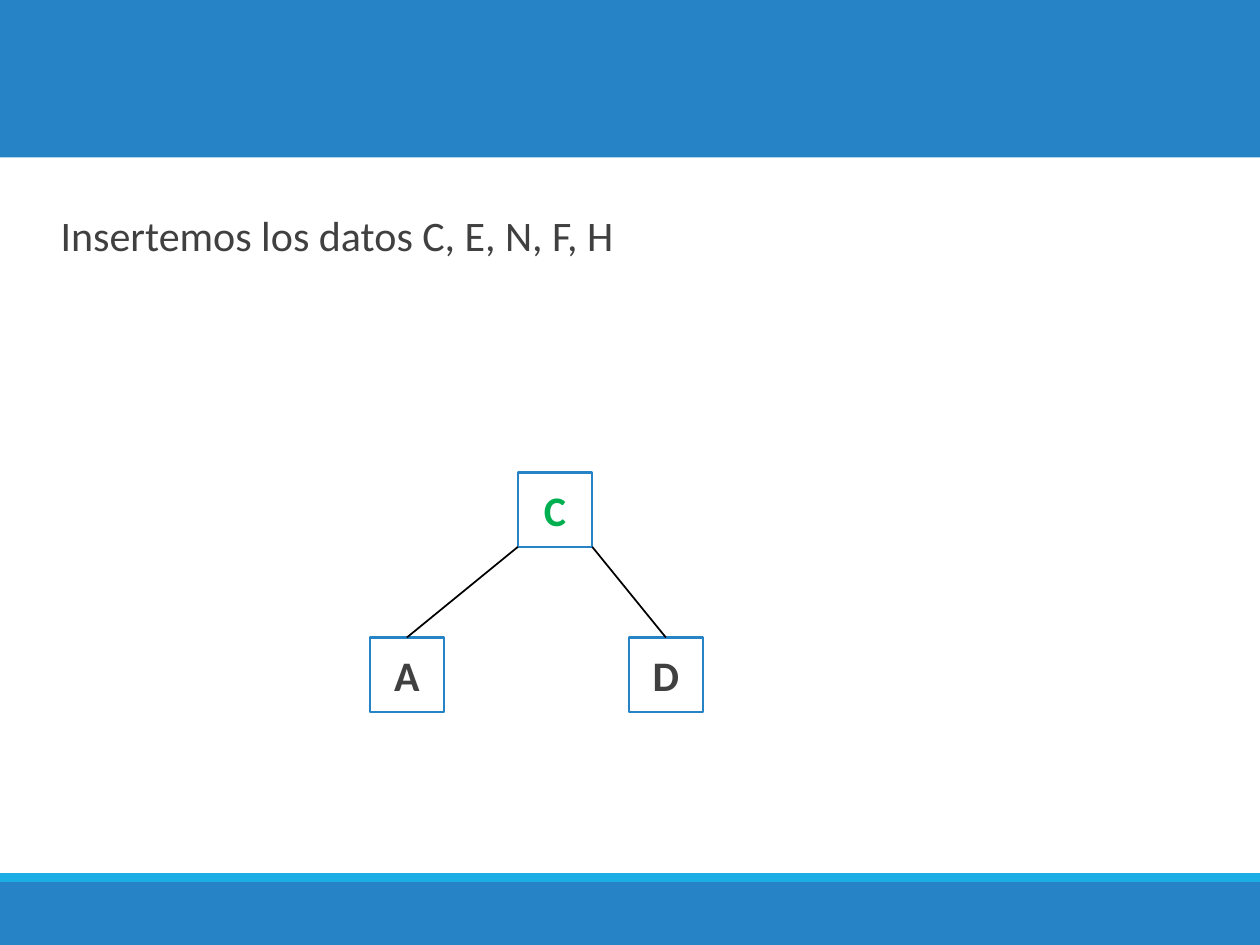
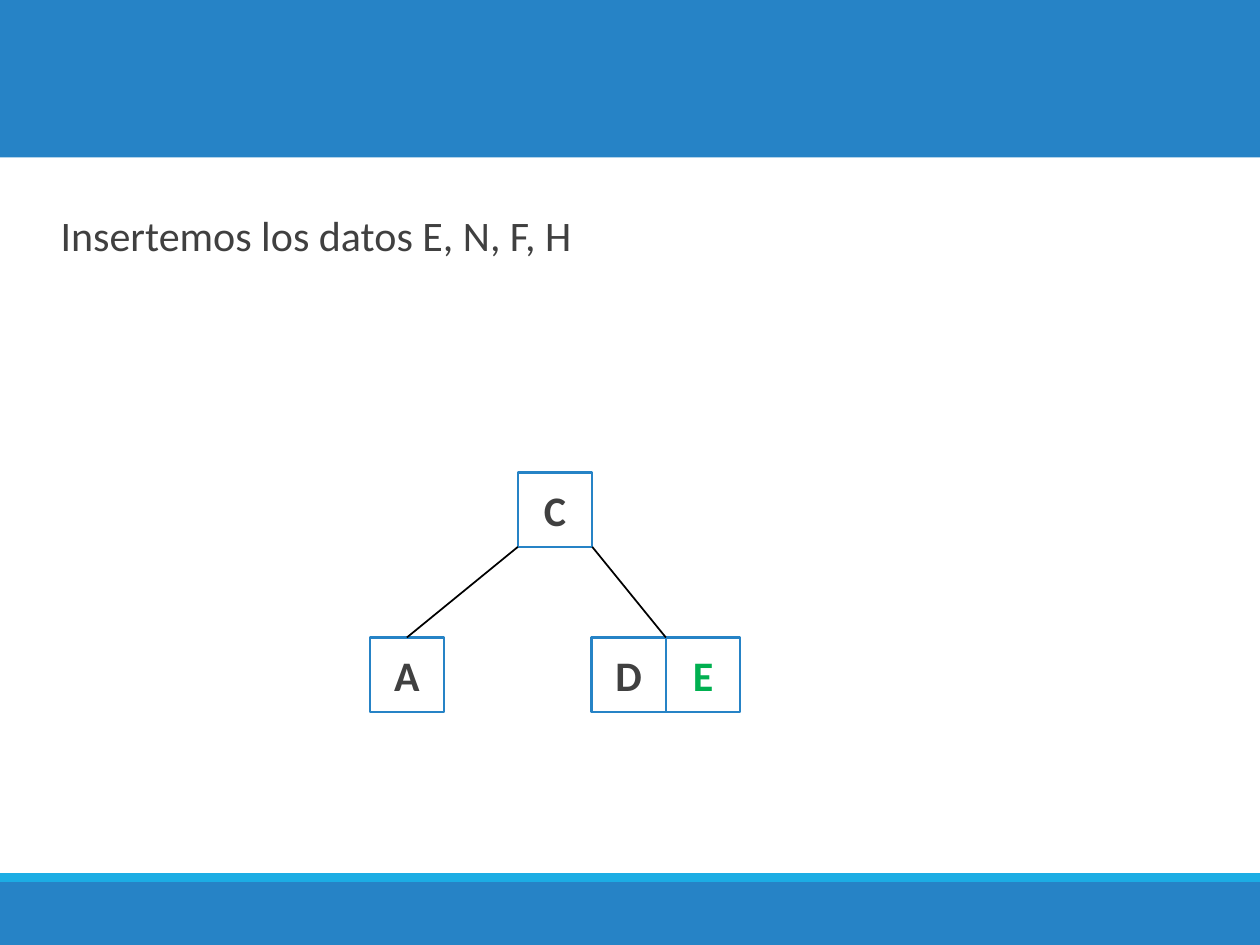
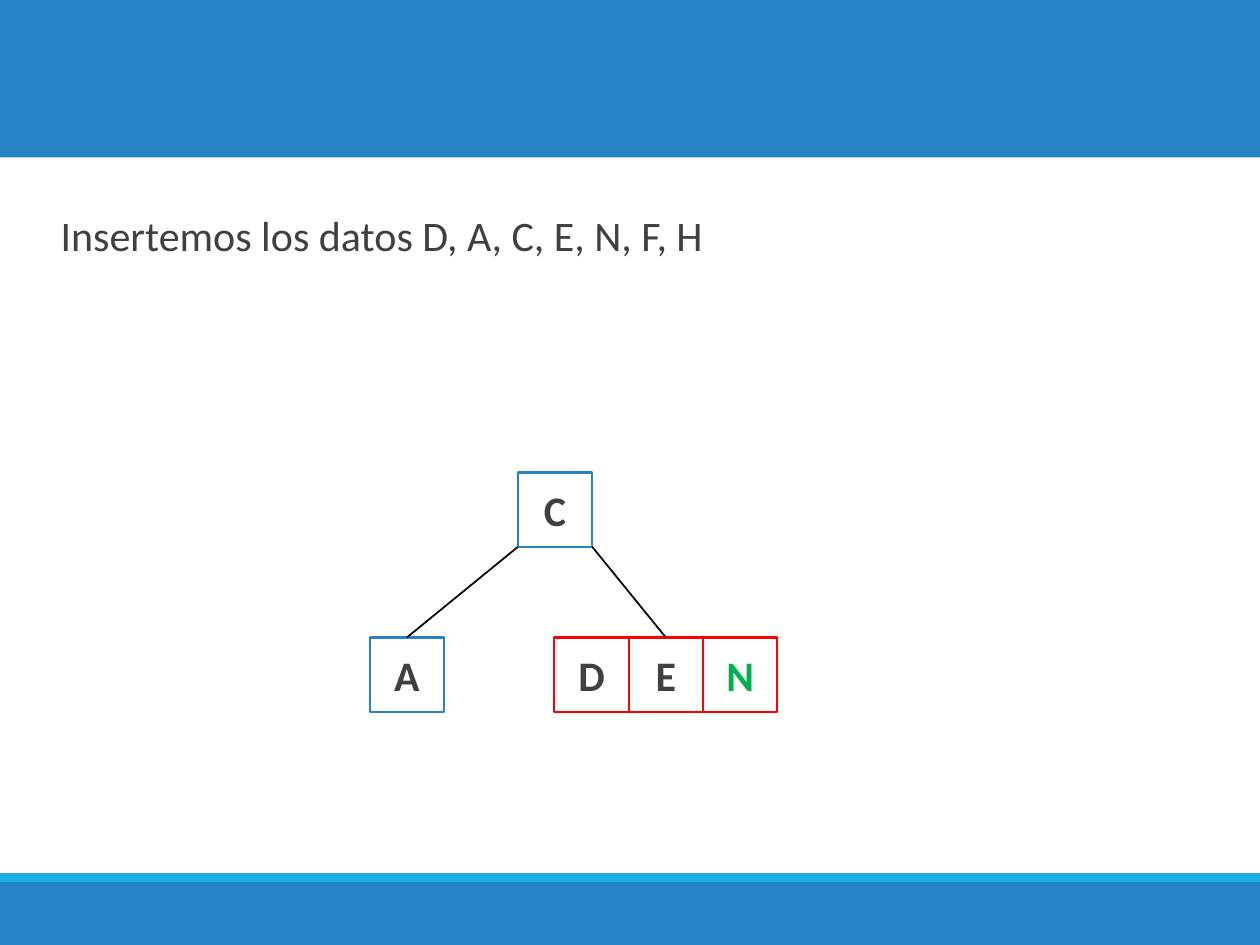
"""Build three slides that show the insertion of keys into a B-tree."""
from dataclasses import dataclass

from lxml import etree
from pptx import Presentation
from pptx.dml.color import RGBColor
from pptx.enum import shapes, text
from pptx.oxml import ns
from pptx.util import Pt

BLUE = RGBColor(0x26, 0x83, 0xC6)
CYAN = RGBColor(0x1C, 0xAD, 0xE4)
GREEN = RGBColor(0x00, 0xB0, 0x50)
RED = RGBColor(0xFF, 0x00, 0x00)
GREY = RGBColor(0x40, 0x40, 0x40)
BLACK = RGBColor(0x00, 0x00, 0x00)
WHITE = RGBColor(0xFF, 0xFF, 0xFF)

FONT = "Calibri"
WIDTH, HEIGHT = 720, 540
KEY_SIDE = 42.5
ROOT_X, LEFT_X, RIGHT_X = 317.2, 232.5, 380.5
ROOT_TOP, LEAF_TOP = 270, 364.3


@dataclass(frozen=True)
class Band:
    top: float
    height: float
    color: RGBColor


@dataclass(frozen=True)
class Node:
    keys: str
    center: float
    top: float
    line: RGBColor = BLUE


@dataclass(frozen=True)
class Step:
    pending: str
    new_key: str
    right: Node


BANDS = (Band(0, 90, BLUE), Band(504, 36, BLUE), Band(499, 5, CYAN))
ROOT = Node("C", ROOT_X, ROOT_TOP)
LEFT = Node("A", LEFT_X, LEAF_TOP)
STEPS = (
    Step("C, E, N, F, H", "C", Node("D", RIGHT_X, LEAF_TOP)),
    Step("E, N, F, H", "E", Node("DE", RIGHT_X, LEAF_TOP)),
    Step("D, A, C, E, N, F, H", "N", Node("DEN", RIGHT_X, LEAF_TOP, RED)),
)


def add_rect(s, left: float, top: float, width: float, height: float, fill: RGBColor):
    sp = s.shapes.add_shape(shapes.MSO_SHAPE.RECTANGLE, Pt(left), Pt(top), Pt(width), Pt(height))
    sp.shadow.inherit = False
    sp.fill.solid()
    sp.fill.fore_color.rgb = fill
    return sp


def add_bands(s, layout) -> None:
    first = layout.placeholders[0].element
    for band in BANDS:
        sp = add_rect(s, 0, band.top, WIDTH, band.height, band.color)
        sp.line.fill.background()
        first.addprevious(sp.element)


def add_statement(s, pending: str) -> None:
    s.shapes.title.element.getparent().remove(s.shapes.title.element)
    body = s.placeholders[1]
    body.left, body.top, body.width, body.height = Pt(20.2), Pt(101.5), Pt(680.4), Pt(62.6)
    tf = body.text_frame
    tf.auto_size = text.MSO_AUTO_SIZE.NONE
    p = tf.paragraphs[0]
    p.text = f"Insertemos los datos {pending}"
    p.line_spacing, p.space_before, p.space_after = 1.5, Pt(12), Pt(2)
    p.font.name, p.font.size, p.font.color.rgb = FONT, Pt(24), GREY
    pPr = p._p.get_or_add_pPr()
    pPr.set("marL", str(Pt(7.2)))
    pPr.set("indent", str(-Pt(7.2)))
    bullet_color = etree.Element(ns.qn("a:buClr"))
    etree.SubElement(bullet_color, ns.qn("a:srgbClr"), val=str(CYAN))
    bullet = etree.Element(ns.qn("a:buChar"), char=" ")
    spacing = pPr.find(ns.qn("a:spcAft"))
    spacing.addnext(bullet_color)
    bullet_color.addnext(bullet)


def add_node(s, node: Node, new_key: str) -> list:
    left = node.center - len(node.keys) * KEY_SIDE / 2
    boxes = []
    for i, key in enumerate(node.keys):
        sp = add_rect(s, left + i * KEY_SIDE, node.top, KEY_SIDE, KEY_SIDE, WHITE)
        sp.line.color.rgb, sp.line.width = node.line, Pt(1.25)
        tf = sp.text_frame
        tf.vertical_anchor = text.MSO_ANCHOR.MIDDLE
        p = tf.paragraphs[0]
        p.text = key
        p.alignment = text.PP_ALIGN.CENTER
        p.font.name, p.font.size, p.font.bold = FONT, Pt(24), True
        p.font.color.rgb = GREEN if key == new_key else GREY
        boxes.append(sp)
    return boxes


def add_branch(s, corner_x: float, child: Node, boxes: list) -> None:
    c = s.shapes.add_connector(
        shapes.MSO_CONNECTOR.STRAIGHT,
        Pt(corner_x), Pt(ROOT_TOP + KEY_SIDE), Pt(child.center), Pt(child.top),
    )
    if len(boxes) % 2:
        c.end_connect(boxes[len(boxes) // 2], 0)
    c.line.color.rgb, c.line.width = BLACK, Pt(1)
    etree.SubElement(c.element.spPr, ns.qn("a:effectLst"))


def add_tree(s, step: Step) -> None:
    add_node(s, ROOT, step.new_key)
    for child, side in ((LEFT, -1), (step.right, 1)):
        boxes = add_node(s, child, step.new_key)
        add_branch(s, ROOT_X + side * KEY_SIDE / 2, child, boxes)


def main() -> None:
    prs = Presentation()
    prs.slide_width, prs.slide_height = Pt(WIDTH), Pt(HEIGHT)
    layout = prs.slide_layouts[1]
    for i, step in enumerate(STEPS):
        s = prs.slides.add_slide(layout)
        if i == 0:
            add_bands(s, layout)
        add_statement(s, step.pending)
        add_tree(s, step)
    prs.save("out.pptx")


if __name__ == "__main__":
    main()
